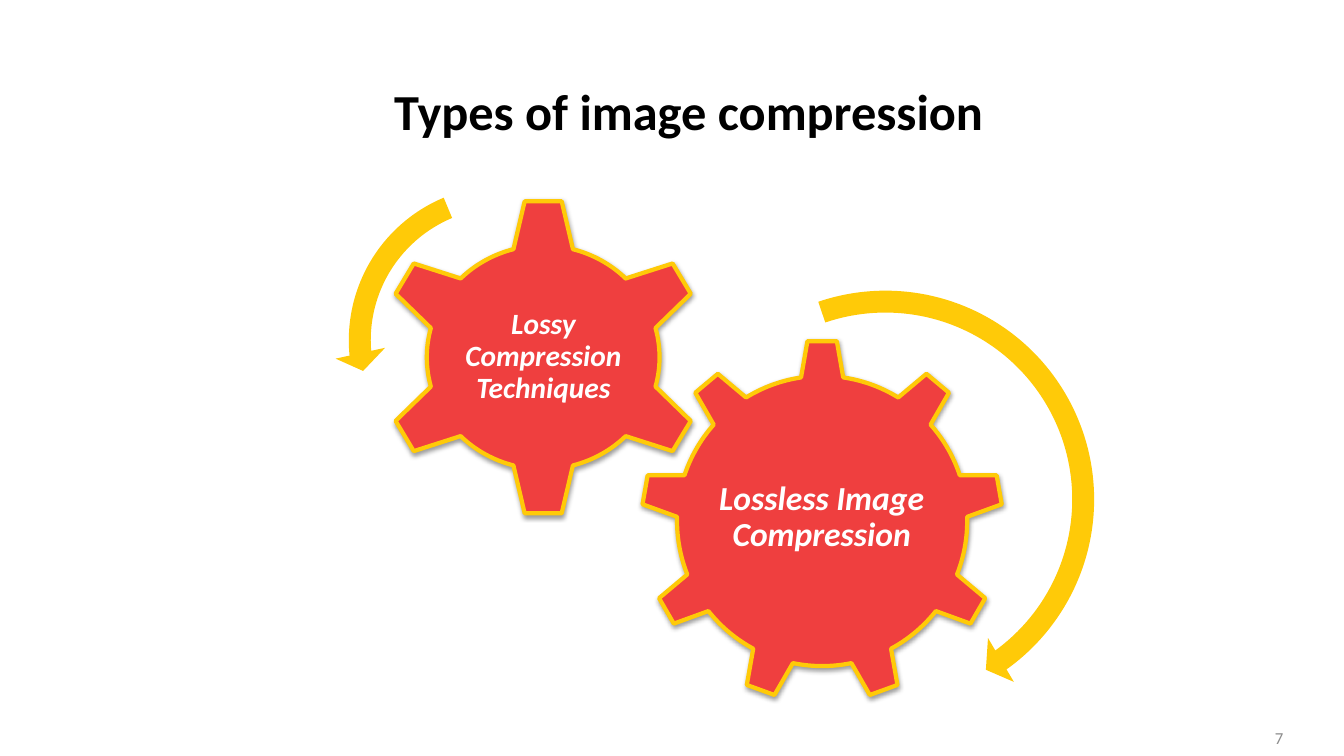
from lxml import etree
from pptx import Presentation, util as u
from pptx.dml.color import RGBColor
from pptx.enum import shapes, text
from pptx.oxml.ns import qn

WHITE, BLACK, GREY = "FFFFFF", "000000", "8C8C8C"
RED, YELLOW = "EF3F3F", "FFCA08"
G = shapes.MSO_SHAPE
A = text.PP_ALIGN


def rgb(value):
    return RGBColor.from_string(value)


def add_text(s, box, words, size, color, align, inset=(0.25, 0.13), bold=False, italic=False, spacing=1):
    tf = s.shapes.add_textbox(*map(u.Cm, box)).text_frame
    tf.word_wrap = True
    tf.vertical_anchor = text.MSO_ANCHOR.MIDDLE
    tf.margin_left = tf.margin_right = u.Cm(inset[0])
    tf.margin_top = tf.margin_bottom = u.Cm(inset[1])
    p = tf.paragraphs[0]
    p.alignment = align
    p.line_spacing = spacing
    r = p.add_run()
    r.text = words
    r.font.name = "Calibri"
    r.font.size = u.Pt(size)
    r.font.bold = bold
    r.font.italic = italic
    r.font.color.rgb = rgb(color)


prs = Presentation()
prs.slide_width, prs.slide_height = u.Cm(33.87), u.Cm(19.05)
s = prs.slides.add_slide(prs.slide_layouts[6])

add_text(s, (24.69, 18.08, 7.9, 1.02), "7", 12, GREY, A.RIGHT)
add_text(s, (2.12, 1.19, 30.48, 3.18), "Types of image compression", 36, BLACK, A.CENTER, bold=True)

gears = [
    (G.GEAR_9, (16.15, 8.56, 9.14, 9.14), (17.98, 10.69, 5.46, 4.7), "Lossless Image Compression", 24),
    (G.GEAR_6, (9.55, 4.98, 8.28, 8.05), (11.61, 7.01, 4.17, 3.96), "Lossy Compression Techniques", 21),
]
for kind, box, label_box, label, size in gears:
    sp = s.shapes.add_shape(kind, *map(u.Cm, box))
    sp.fill.solid()
    sp.fill.fore_color.rgb = rgb(RED)
    sp.line.color.rgb = rgb(YELLOW)
    sp.line.width = u.Pt(3)
    sp.shadow.inherit = False
    effects = sp._element.spPr.find(qn("a:effectLst"))
    shadow = etree.SubElement(effects, qn("a:outerShdw"), blurRad="40000", dist="20000", dir="5400000", rotWithShape="0")
    color = etree.SubElement(shadow, qn("a:srgbClr"), val=BLACK)
    etree.SubElement(color, qn("a:alpha"), val="38000")
    add_text(s, label_box, label, size, WHITE, A.CENTER, (0.08, 0.08), True, True, 0.9)

arrows = [
    (G.CIRCULAR_ARROW, 16.69, 6.96, 11.25, (4.9, 312.6, 3256.1, 15073.6, 5.7)),
    (G.LEFT_CIRCULAR_ARROW, 8.43, 4.32, 8.51, (6.5, 430, 10489.1, 14837.8, 7.5)),
]
for kind, left, top, side, percents in arrows:
    sp = s.shapes.add_shape(kind, u.Cm(left), u.Cm(top), u.Cm(side), u.Cm(side))
    for i, percent in enumerate(percents):
        sp.adjustments[i] = percent / 100
    sp.fill.solid()
    sp.fill.fore_color.rgb = rgb(YELLOW)
    sp.line.fill.background()
    sp.shadow.inherit = False

prs.save("out.pptx")
